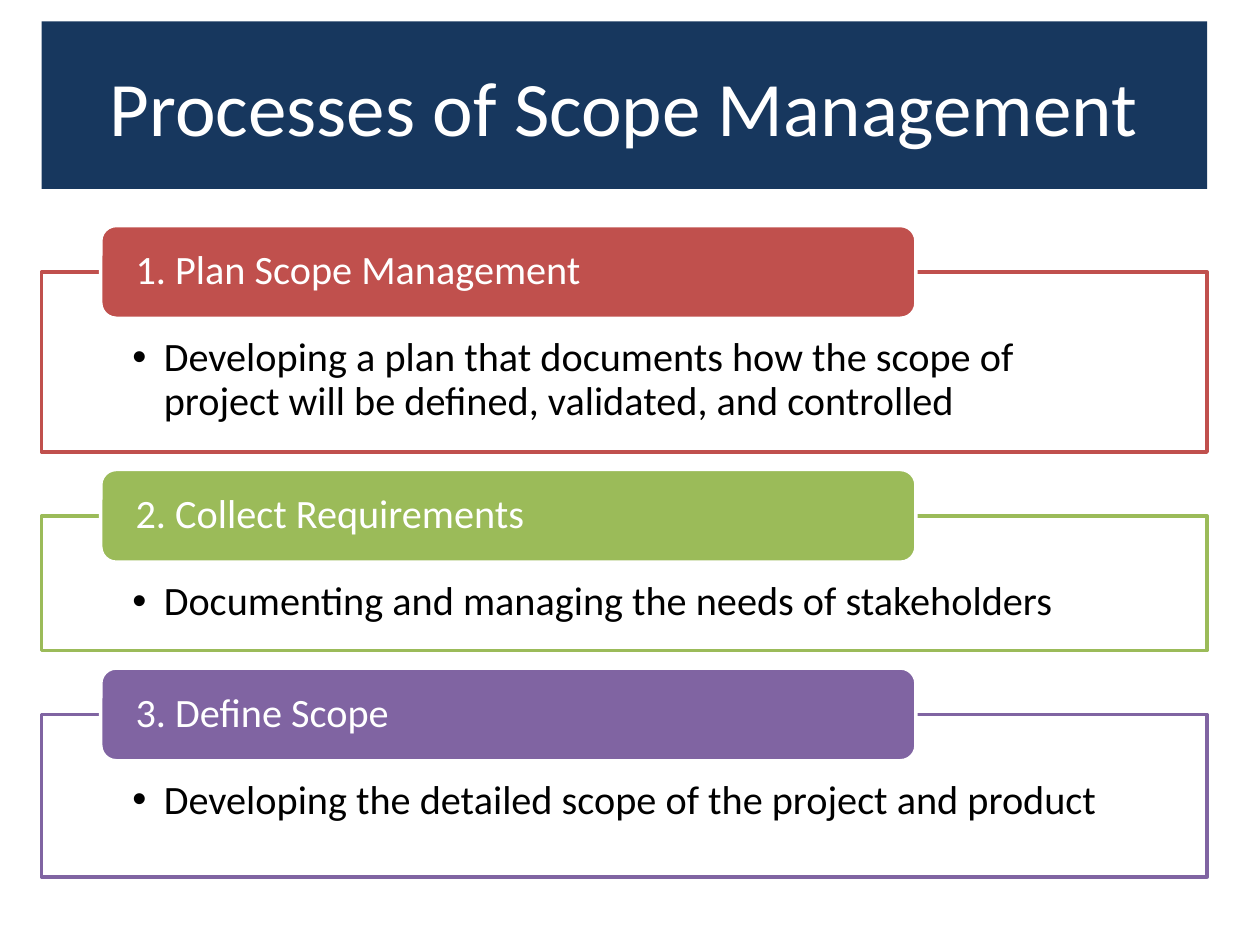
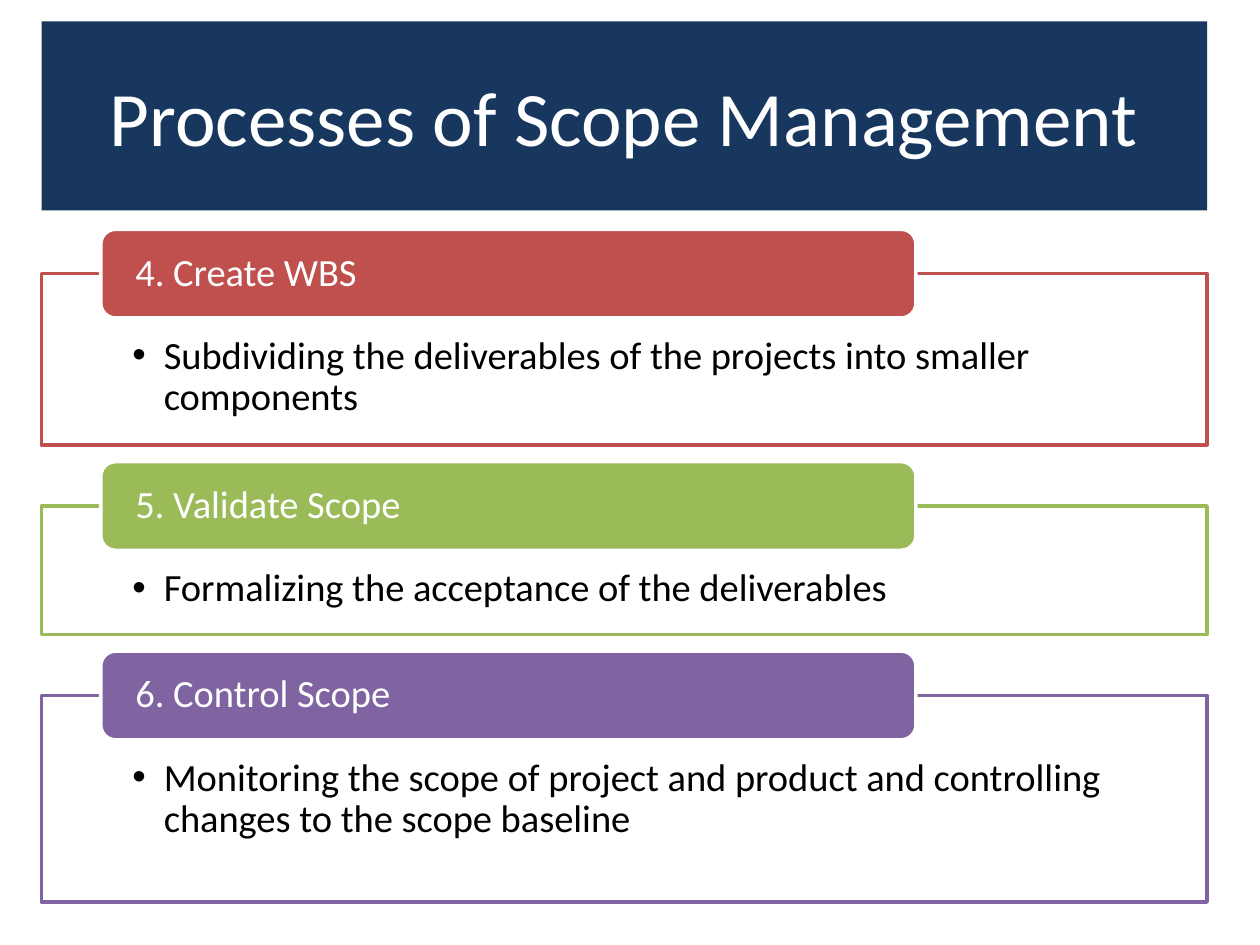
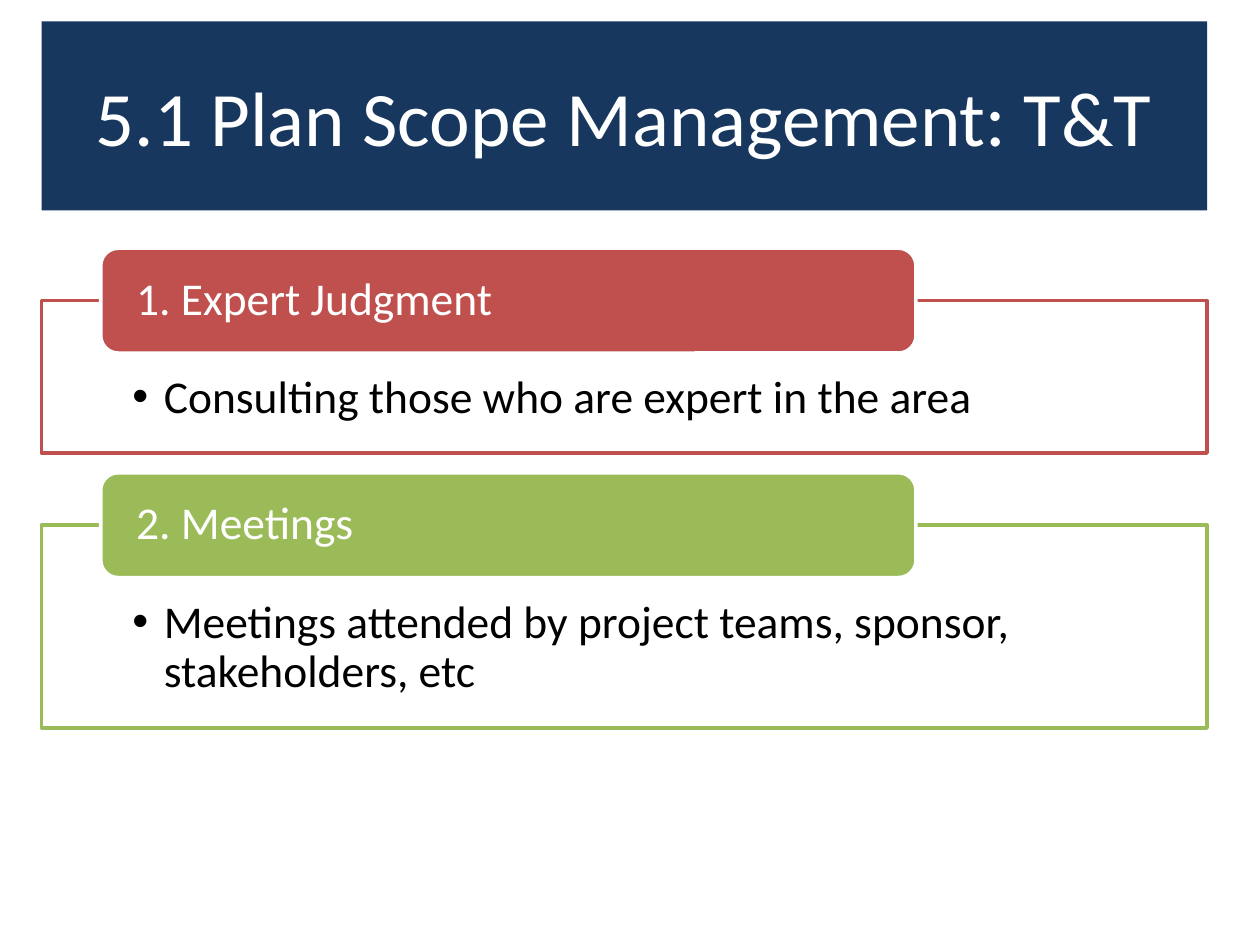
from lxml import etree
from pptx import Presentation
from pptx import util as u
from pptx.dml import color
from pptx.enum import shapes, text
from pptx.oxml import ns

COLORS = {"navy": "17375E", "white": "FFFFFF", "black": "000000",
          "red": "C0504D", "green": "9BBB59", "purple": "8064A2"}
ACCENTS = ("red", "green", "purple")

SLIDES = [
    ("Processes of Scope Management", 13.3, 17.9, 23, [
        ("1. Plan Scope Management", 14.3,
         "Developing a plan that documents how the scope of project will be defined, validated, and controlled"),
        ("2. Collect Requirements", 10.7,
         "Documenting and managing the needs of stakeholders"),
        ("3. Define Scope", 12.9,
         "Developing the detailed scope of the project and product")]),
    ("Processes of Scope Management", 15, 18.2, 22, [
        ("4. Create WBS", 13.6,
         "Subdividing the deliverables of the projects into smaller components"),
        ("5. Validate Scope", 10.2,
         "Formalizing the acceptance of the deliverables"),
        ("6. Control Scope", 16.4,
         "Monitoring the scope of project and product and controlling changes to the scope baseline")]),
    ("5.1 Plan Scope Management: T&T", 15, 19.7, 26, [
        ("1. Expert Judgment", 12.1,
         "Consulting those who are expert in the area"),
        ("2. Meetings", 16.1,
         "Meetings attended by project teams, sponsor, stakeholders, etc")]),
]


def rgb(name):
    return color.RGBColor.from_string(COLORS[name])


class Deck:
    font = "Calibri"
    columns, rows = 100, 75
    left, width = 3.3, 92.5
    tab_left, tab_width = 8, 64.7

    def __init__(self):
        self.prs = Presentation()
        self.prs.slide_width, self.prs.slide_height = u.Inches(10), u.Inches(7.5)
        self.slide = None

    def x(self, columns):
        return int(self.prs.slide_width * columns / self.columns)

    def y(self, rows):
        return int(self.prs.slide_height * rows / self.rows)

    def place(self, sp, left, top, width, height):
        sp.left, sp.top = self.x(left), self.y(top)
        sp.width, sp.height = self.x(width), self.y(height)

    def set_text(self, sp, words, size, ink, align, anchor):
        tf = sp.text_frame
        tf.text = words
        tf.word_wrap = True
        tf.vertical_anchor = anchor
        p = tf.paragraphs[0]
        p.alignment = align
        r = p.runs[0]
        r.font.name, r.font.size = self.font, u.Pt(size)
        r.font.color.rgb = rgb(ink)
        return p

    def inset(self, sp, side, top=0, bottom=0):
        tf = sp.text_frame
        tf.margin_left = tf.margin_right = self.x(side)
        tf.margin_top, tf.margin_bottom = self.y(top), self.y(bottom)

    def shape(self, kind, box, fill, line):
        sp = self.slide.shapes.add_shape(kind, 0, 0, 0, 0)
        self.place(sp, *box)
        sp.shadow.inherit = False
        sp.fill.solid()
        sp.fill.fore_color.rgb = rgb(fill)
        sp.line.color.rgb = rgb(line)
        sp.line.width = u.Pt(2)
        return sp

    def title(self, words, height):
        self.slide = self.prs.slides.add_slide(self.prs.slide_layouts[5])
        sp = self.slide.shapes.title
        self.place(sp, self.left, 1.7, self.width, height)
        sp.fill.solid()
        sp.fill.fore_color.rgb = rgb("navy")
        self.set_text(sp, words, 44, "white", text.PP_ALIGN.CENTER, text.MSO_ANCHOR.MIDDLE)

    def bullet(self, p):
        pPr = p._p.get_or_add_pPr()
        pPr.set("marL", str(u.Inches(0.25)))
        pPr.set("indent", str(-u.Inches(0.25)))
        etree.SubElement(pPr, ns.qn("a:buFont"), typeface="Arial")
        etree.SubElement(pPr, ns.qn("a:buChar"), char="•")

    def detail(self, words, top, height, size, accent):
        sp = self.shape(shapes.MSO_SHAPE.RECTANGLE,
                        (self.left, top, self.width, height), "white", accent)
        fill = sp._element.spPr.find(ns.qn("a:solidFill"))
        etree.SubElement(fill[0], ns.qn("a:alpha"), val="90000")
        self.inset(sp, 7.2, 0.225 * size, 0.08 * size)
        p = self.set_text(sp, words, size, "black", text.PP_ALIGN.LEFT, text.MSO_ANCHOR.TOP)
        p.line_spacing = 0.9
        self.bullet(p)

    def tab(self, words, top, height, size, accent):
        sp = self.shape(shapes.MSO_SHAPE.ROUNDED_RECTANGLE,
                        (self.tab_left, top, self.tab_width, height), accent, "white")
        self.inset(sp, 2.4)
        p = self.set_text(sp, words, size, "white", text.PP_ALIGN.LEFT, text.MSO_ANCHOR.MIDDLE)
        p.line_spacing = 0.9

    def process_list(self, top, size, processes):
        tab_height, gap = 0.32 * size, 0.06 * size
        for accent, (name, height, words) in zip(ACCENTS, processes):
            box_top = top + tab_height / 2
            self.detail(words, box_top, height, size, accent)
            self.tab(name, top, tab_height, size, accent)
            top = box_top + height + gap


def main():
    deck = Deck()
    for title, title_height, top, size, processes in SLIDES:
        deck.title(title, title_height)
        deck.process_list(top, size, processes)
    deck.prs.save("out.pptx")


if __name__ == "__main__":
    main()
